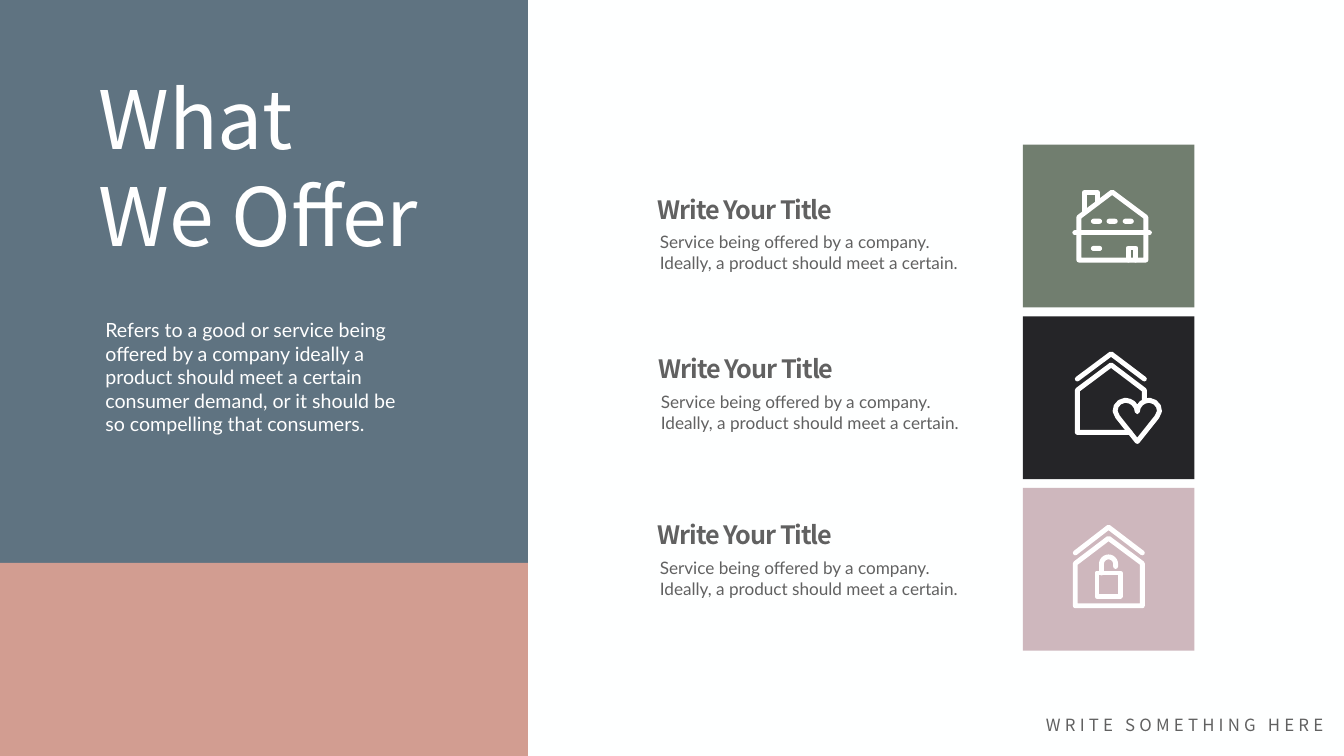
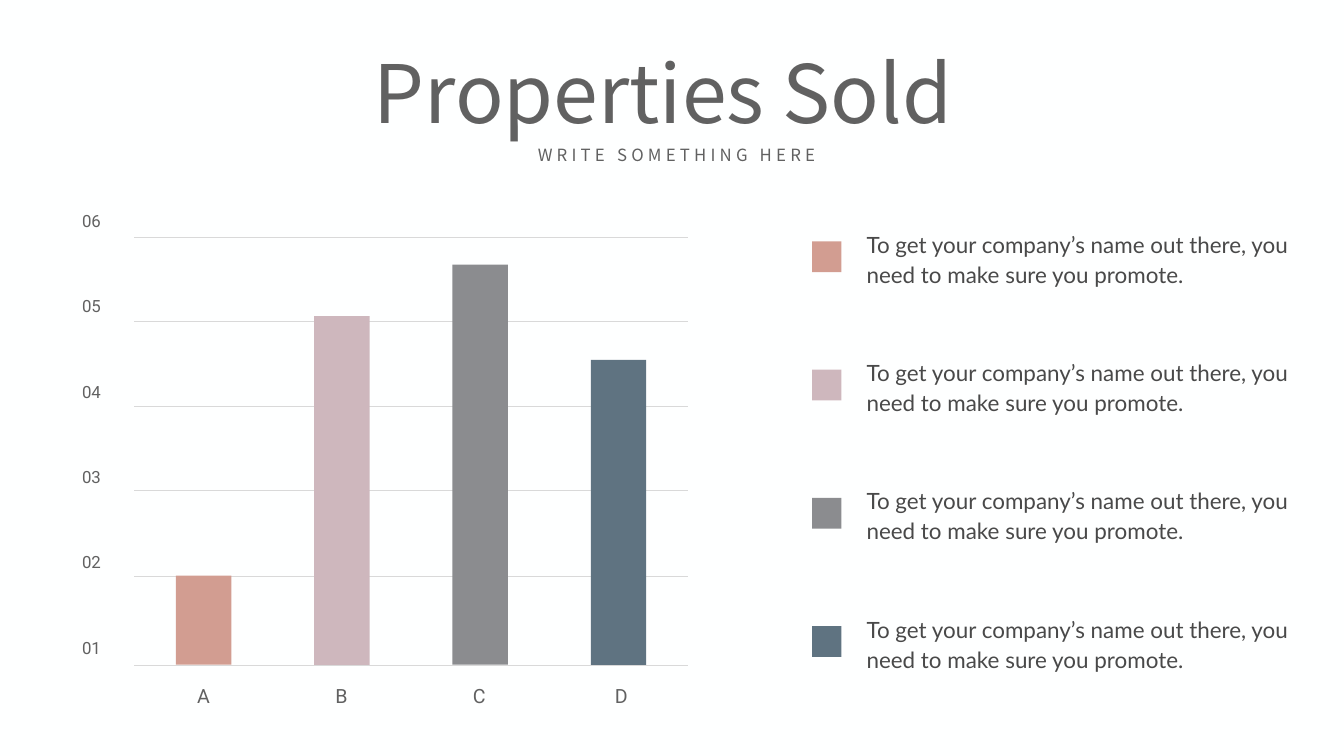
import math

from lxml import etree
from pptx import Presentation
from pptx.dml.color import RGBColor
from pptx.enum import shapes, text
from pptx.oxml import ns
from pptx.util import Inches, Pt

WHITE = RGBColor(0xFF, 0xFF, 0xFF)
PAPER = RGBColor(0xFE, 0xFF, 0xFF)
SLATE = RGBColor(0x5F, 0x73, 0x81)
CORAL = RGBColor(0xD2, 0x9D, 0x91)
MAUVE = RGBColor(0xCE, 0xB7, 0xBD)
SAGE = RGBColor(0x71, 0x7E, 0x6F)
INK = RGBColor(0x25, 0x25, 0x28)
STEEL = RGBColor(0x8B, 0x8C, 0x8F)
GRID = RGBColor(0xD9, 0xD9, 0xD9)
GRAY = RGBColor(0x61, 0x61, 0x61)
DARK_GRAY = RGBColor(0x49, 0x49, 0x49)

HEADING_FONT = "Noto Sans CJK SC"
BODY_FONT = "Lato"
LABEL_FONT = "Roboto"
LEFT = text.PP_ALIGN.LEFT
CENTER = text.PP_ALIGN.CENTER
TITLE_SIZE = 115
TAGLINE = "WRITE SOMETHING HERE"
TAGLINE_FORMAT = dict(size=24, align=CENTER, spacing=6)


def write(slide, content, box, *, size, font=HEADING_FONT, color=GRAY, bold=False,
          align=LEFT, spacing=None, line_height=None, insets=(0.1, 0.05), title=False):
    """Fill the title placeholder or a new text box; each line is a paragraph."""
    position = [Inches(value) for value in box]
    if title:
        shape = slide.shapes.title
        shape.left, shape.top, shape.width, shape.height = position
    else:
        shape = slide.shapes.add_textbox(*position)
    frame = shape.text_frame
    frame.text = content
    frame.word_wrap = True
    frame.auto_size = text.MSO_AUTO_SIZE.SHAPE_TO_FIT_TEXT
    frame.vertical_anchor = text.MSO_ANCHOR.TOP
    frame.margin_left = frame.margin_right = Inches(insets[0])
    frame.margin_top = frame.margin_bottom = Inches(insets[1])
    for paragraph in frame.paragraphs:
        paragraph.alignment = align
        if line_height:
            paragraph.line_spacing = Pt(line_height)
        for run in paragraph.runs:
            run.font.name = font
            run.font.size = Pt(size)
            run.font.bold = bold
            run.font.color.rgb = color
            if spacing:
                run.font._element.set("spc", str(int(spacing * 100)))


def block(slide, box, color, kind=shapes.MSO_SHAPE.RECTANGLE):
    """Add a flat shape without outline."""
    shape = slide.shapes.add_shape(kind, *[Inches(value) for value in box])
    shape.shadow.inherit = False
    shape.fill.solid()
    shape.fill.fore_color.rgb = color
    shape.line.fill.background()
    return shape


presentation = Presentation()
presentation.slide_width = Inches(26.66)
presentation.slide_height = Inches(15)
background = presentation.slide_master.background.fill
background.solid()
background.fore_color.rgb = PAPER
title_only = presentation.slide_layouts[5]

# Slide 1: services
slide = presentation.slides.add_slide(title_only)
block(slide, (0, 0, 10.47, 11.17), SLATE)
block(slide, (0, 11.17, 10.47, 3.87), CORAL)
# The title is moved in front of the panel
panel_tree = slide.shapes.title._element.getparent()
panel_tree.append(slide.shapes.title._element)
write(slide, "What\nWe Offer", (1.85, 1.32, 7.1, 3.97), size=TITLE_SIZE,
      color=WHITE, title=True)
write(slide, "Refers to a good or service being offered by a company ideally a product "
      "should meet a certain consumer demand, or it should be so compelling that "
      "consumers.", (1.85, 6.19, 6.28, 2.6), size=28, font=BODY_FONT, color=WHITE,
      insets=(0.24, 0.12))

services = [(12.95, 3.8, SAGE), (12.97, 6.97, INK), (12.95, 10.26, MAUVE)]
for index, (left, top, color) in enumerate(services):
    block(slide, (20.29, 2.87 + 3.405 * index, 3.4, 3.23), color)
    write(slide, "Write Your Title", (left, top, 4.59, 0.71), size=36, bold=True,
          spacing=-1.5)
    write(slide, "Service being offered by a company. Ideally, a product should meet "
          "a certain.", (left - 0.1, top + 0.68, 6.4, 1.06), size=24.5,
          font=BODY_FONT, insets=(0.24, 0.12))

# Icons: every stroke is (points, closed)
heart_half = [(0.02, 8.08), (0.08, 8), (0.15, 7.96), (0.24, 7.94), (0.35, 7.98),
              (0.42, 8.06), (0.44, 8.16), (0.39, 8.27)]
heart = ([(22.56, 8.17)] + [(22.56 + x, y) for x, y in heart_half] + [(22.56, 8.76)]
         + [(22.56 - x, y) for x, y in reversed(heart_half)])
shackle_arc = [(21.99 - 0.14 * math.cos(math.pi * step / 12),
                11.19 - 0.14 * math.sin(math.pi * step / 12)) for step in range(13)]
icon_parts = [
    [([(21.4, 5.16), (21.4, 4.31), (22.06, 3.81), (22.73, 4.31), (22.73, 5.16)], True),
     ([(21.51, 4.2), (21.51, 3.82), (21.77, 3.82), (21.77, 4.02)], False),
     ([(21.32, 4.62), (22.8, 4.62)], False),
     ([(22.38, 5.16), (22.38, 4.92), (22.53, 4.92), (22.53, 5.16)], False)],
    [([(21.37, 7.52), (22.04, 7.02), (22.7, 7.52)], False)],
    [([(22.42, 8.58), (21.37, 8.58), (21.37, 7.74), (22.04, 7.24), (22.7, 7.74),
       (22.7, 7.93)], False),
     (heart, True)],
    [([(21.33, 10.97), (21.99, 10.46), (22.66, 10.97)], False)],
    [([(21.33, 12.02), (21.33, 11.18), (21.99, 10.68), (22.66, 11.18),
       (22.66, 12.02)], True)],
    [([(21.76, 11.37), (22.22, 11.37), (22.22, 11.83), (21.76, 11.83)], True),
     ([(21.85, 11.37)] + shackle_arc + [(22.13, 11.24)], False)],
]
for strokes in icon_parts:
    builder = None
    for points, closed in strokes:
        start, *rest = [(Inches(x), Inches(y)) for x, y in points]
        if builder is None:
            builder = slide.shapes.build_freeform(*start)
        else:
            builder.move_to(*start)
        builder.add_line_segments(rest, close=closed)
    icon = builder.convert_to_shape()
    icon.shadow.inherit = False
    icon.fill.background()
    icon.line.color.rgb = WHITE
    icon.line.width = Pt(7)
    outline = icon.line._get_or_add_ln()
    outline.set("cap", "rnd")
    etree.SubElement(outline, ns.qn("a:round"))

for left, top in [(21.64, 4.88), (21.64, 4.34), (21.95, 4.34), (22.27, 4.34)]:
    window = block(slide, (left, top, 0.22, 0.1), WHITE,
                   shapes.MSO_SHAPE.ROUNDED_RECTANGLE)
    window.adjustments[0] = 0.5

write(slide, TAGLINE, (20.55, 14.14, 5.9, 0.5), **TAGLINE_FORMAT)

# Slide 2: properties sold
slide = presentation.slides.add_slide(title_only)
write(slide, "Properties Sold ", (5.53, 0.81, 15.59, 2.04), size=TITLE_SIZE,
      align=CENTER, title=True)

baseline = 13.19
for index, y in enumerate([baseline, 11.44, 9.73, 8.06, 6.38, 4.71]):
    grid_line = slide.shapes.add_connector(
        shapes.MSO_CONNECTOR.STRAIGHT, Inches(2.66), Inches(y), Inches(13.65), Inches(y))
    grid_line.line.color.rgb = GRID
    grid_line.line.width = Pt(0.5)
    etree.SubElement(grid_line._element.spPr, ns.qn("a:effectLst"))
    write(slide, f"{index + 1:02}", (1.21, 12.38 - 1.694 * index, 1.21, 1.26), size=24,
          font=LABEL_FONT, align=CENTER, line_height=44.4)

bars = [("A", 3.43, 11.42, CORAL), ("B", 6.17, 6.27, MAUVE),
        ("C", 8.9, 5.25, STEEL), ("D", 11.72, 7.14, SLATE)]
for index, (name, label_left, bar_top, color) in enumerate(bars):
    block(slide, (3.49 + 2.743 * index, bar_top, 1.1, baseline - bar_top), color)
    write(slide, name, (label_left, 13.38, 1.21, 1.09), size=28, font=LABEL_FONT,
          align=CENTER, line_height=44.4)
    legend_top = 4.47 + 2.545 * index
    block(slide, (16.11, legend_top + 0.32, 0.58, 0.61), color)
    write(slide, "To get your company’s name out there, you need to make sure you "
          "promote.", (17.09, legend_top, 8.58, 1.24), size=32, font=BODY_FONT,
          color=DARK_GRAY, line_height=43)

write(slide, TAGLINE, (10.47, 2.83, 5.9, 0.5), **TAGLINE_FORMAT)

presentation.save("out.pptx")
